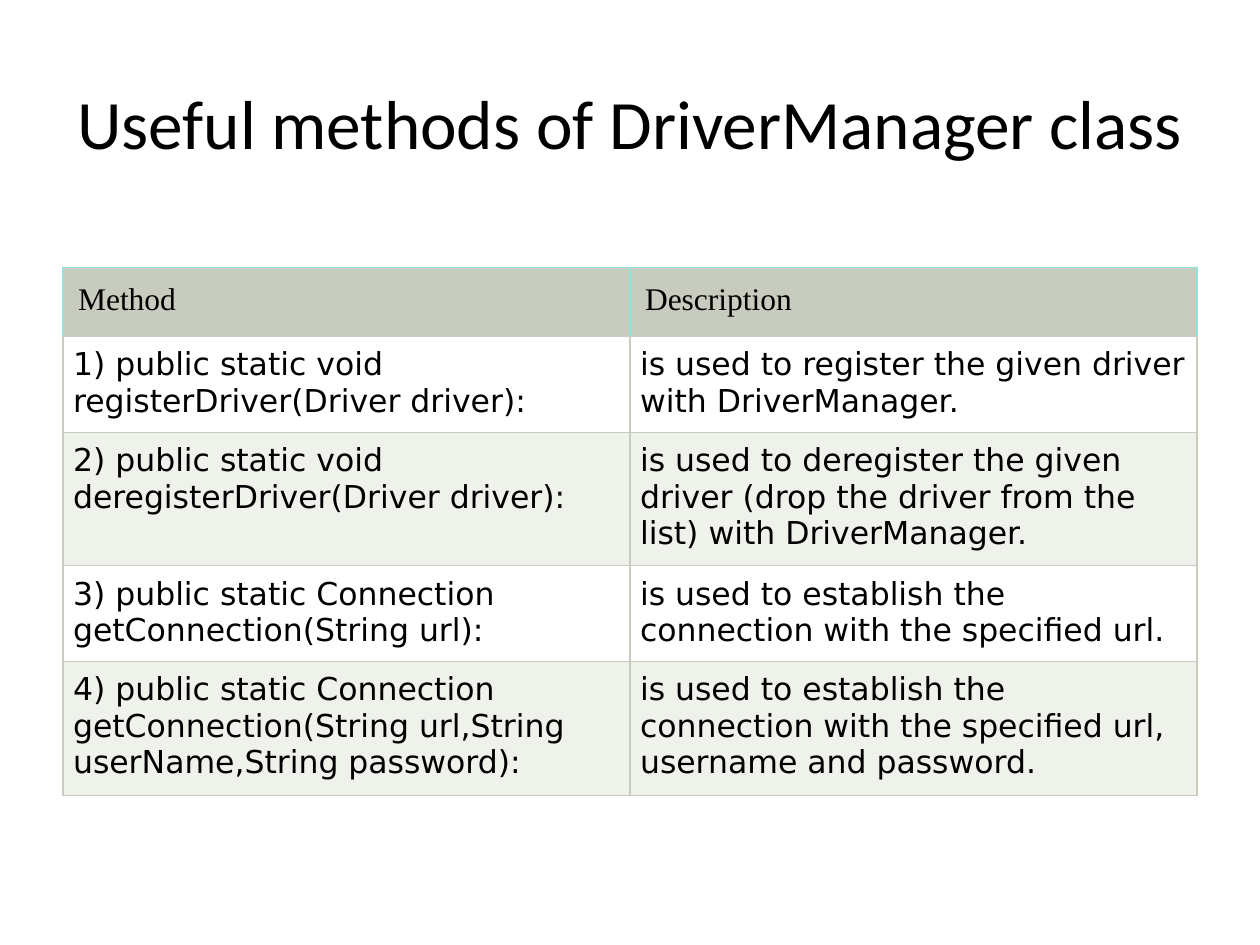
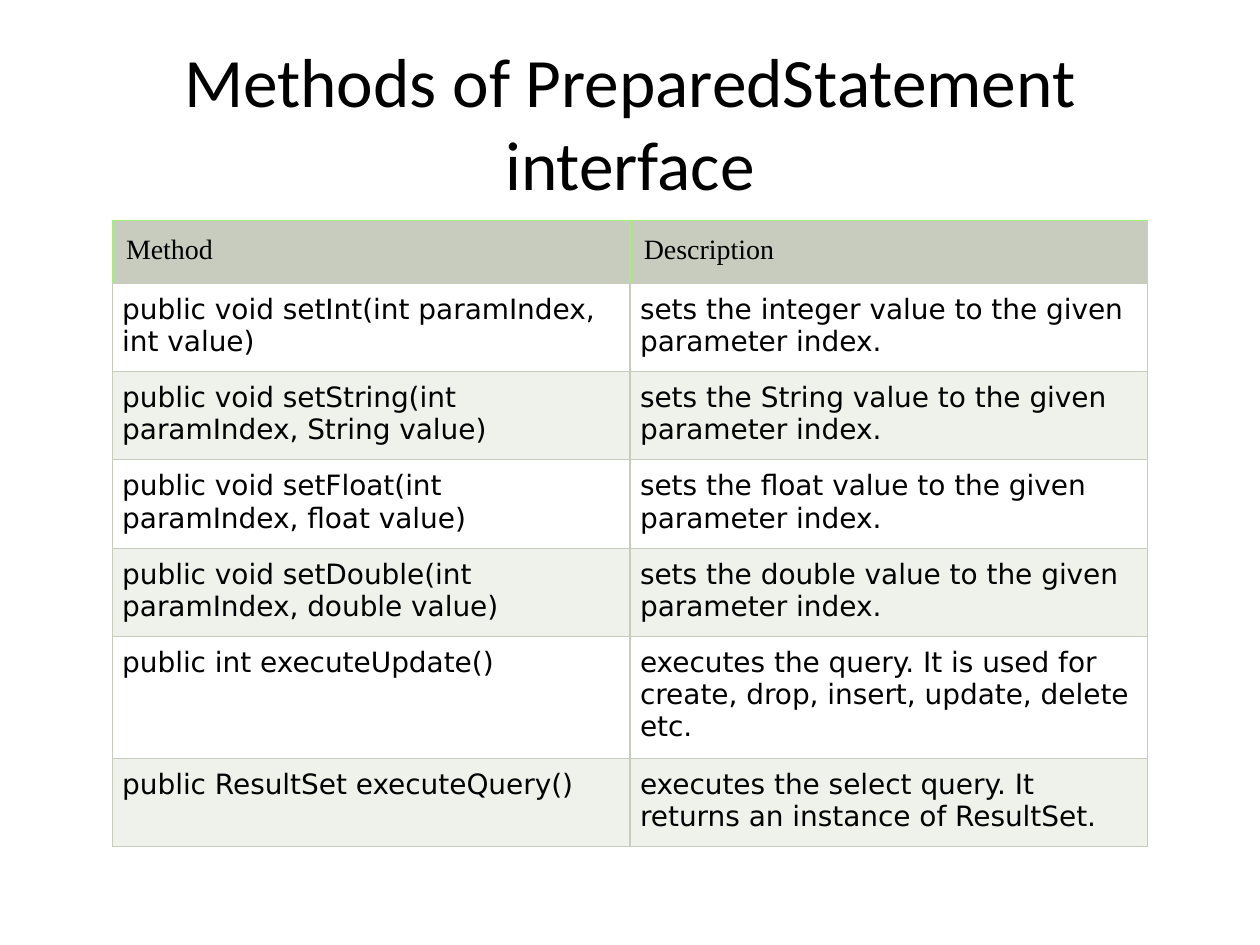
from lxml.etree import SubElement
from pptx import Presentation
from pptx.dml.color import RGBColor
from pptx.enum.text import MSO_ANCHOR, PP_ALIGN
from pptx.oxml.ns import qn
from pptx.util import Inches, Pt

BLACK = RGBColor(0x00, 0x00, 0x00)
WHITE = RGBColor(0xFF, 0xFF, 0xFF)
SAGE = RGBColor(0xC7, 0xCC, 0xBE)
PALE_SAGE = RGBColor(0xEF, 0xF1, 0xEB)
AQUA = RGBColor(0x90, 0xE2, 0xDD)
LIME = RGBColor(0xA0, 0xF1, 0x74)

HEADINGS = ("Method", "Description")
DRIVER_MANAGER_METHODS = [
    ("1) public static void registerDriver(Driver driver):",
     "is used to register the given driver with DriverManager."),
    ("2) public static void deregisterDriver(Driver driver):",
     "is used to deregister the given driver (drop the driver from the list) with DriverManager."),
    ("3) public static Connection getConnection(String url):",
     "is used to establish the connection with the specified url."),
    ("4) public static Connection getConnection(String url,String userName,String password):",
     "is used to establish the connection with the specified url, username and password."),
]
SETTER_METHODS = [
    (f"public void set{kind.capitalize()}(int paramIndex, {kind} value)",
     f"sets the {kind} value to the given parameter index.")
    for kind in ("String", "float", "double")
]
PREPARED_STATEMENT_METHODS = [
    ("public void setInt(int paramIndex, int value)",
     "sets the integer value to the given parameter index."),
    *SETTER_METHODS,
    ("public int executeUpdate()",
     "executes the query. It is used for create, drop, insert, update, delete etc."),
    ("public ResultSet executeQuery()",
     "executes the select query. It returns an instance of ResultSet."),
]


class MethodDeck:
    """Holds the shared style and the slide being built."""

    title_font = "Calibri"
    heading_font = "Times New Roman"
    body_font = "DejaVu Sans"
    body_margin = 0.08
    border_width = Pt(0.75)

    def __init__(self):
        self.presentation = Presentation()
        self.presentation.slide_width = Inches(10)
        self.presentation.slide_height = Inches(7.5)
        self.slide = None

    def add_slide(self, title):
        self.slide = self.presentation.slides.add_slide(self.presentation.slide_layouts[6])
        self.add_title(title)

    def add_title(self, text):
        box = self.slide.shapes.add_textbox(Inches(0.5), Inches(0.3), Inches(9), Inches(1.25))
        frame = box.text_frame
        frame.word_wrap = True
        frame.vertical_anchor = MSO_ANCHOR.MIDDLE
        frame.margin_top = Inches(0.1)
        frame.margin_bottom = Inches(0.02)
        paragraph = frame.paragraphs[0]
        paragraph.alignment = PP_ALIGN.CENTER
        self.set_text(paragraph, text, self.title_font, 39.6)

    def add_method_table(self, methods, left, top, width, row_heights, size,
                         heading_margin, heading_border):
        """Draw a heading row and striped method rows; lengths are in inches."""
        rows = [HEADINGS, *methods]
        frame = self.slide.shapes.add_table(
            len(rows), len(HEADINGS), Inches(left), Inches(top),
            Inches(width), Inches(sum(row_heights)))
        table = frame.table
        table.horz_banding = False
        for row, height in zip(table.rows, row_heights):
            row.height = Inches(height)
        for row_index, texts in enumerate(rows):
            if row_index == 0:
                font, margin, fill, edge = self.heading_font, heading_margin, SAGE, heading_border
            else:
                font, margin, edge = self.body_font, self.body_margin, SAGE
                fill = WHITE if row_index % 2 else PALE_SAGE
            for column_index, text in enumerate(texts):
                cell = table.cell(row_index, column_index)
                cell.margin_left = cell.margin_right = Inches(margin)
                cell.margin_top = cell.margin_bottom = Inches(margin)
                self.add_borders(cell, edge)
                cell.fill.solid()
                cell.fill.fore_color.rgb = fill
                self.set_text(cell.text_frame.paragraphs[0], text, font, size)

    def add_borders(self, cell, edge):
        """Outline a cell in the edge colour, with its bottom always sage."""
        properties = cell._tc.get_or_add_tcPr()
        for side, color in (("lnL", edge), ("lnR", edge), ("lnT", edge), ("lnB", SAGE)):
            line = SubElement(properties, qn(f"a:{side}"), w=str(self.border_width))
            fill = SubElement(line, qn("a:solidFill"))
            SubElement(fill, qn("a:srgbClr"), val=str(color))

    def set_text(self, paragraph, text, font, size):
        paragraph.text = text
        paragraph.font.name = font
        paragraph.font.size = Pt(size)
        paragraph.font.bold = False
        paragraph.font.color.rgb = BLACK


def main():
    deck = MethodDeck()

    deck.add_slide("Useful methods of DriverManager class")
    deck.add_method_table(
        DRIVER_MANAGER_METHODS, left=0.5, top=2.12, width=9,
        row_heights=[0.55, 0.76, 1.06, 0.76, 1.06], size=18,
        heading_margin=0.12, heading_border=AQUA)

    deck.add_slide("Methods of PreparedStatement interface")
    deck.add_method_table(
        PREPARED_STATEMENT_METHODS, left=0.89, top=1.75, width=8.22,
        row_heights=[0.5] + [0.7] * 4 + [0.97, 0.7], size=16,
        heading_margin=0.11, heading_border=LIME)

    deck.presentation.save("out.pptx")


if __name__ == "__main__":
    main()
